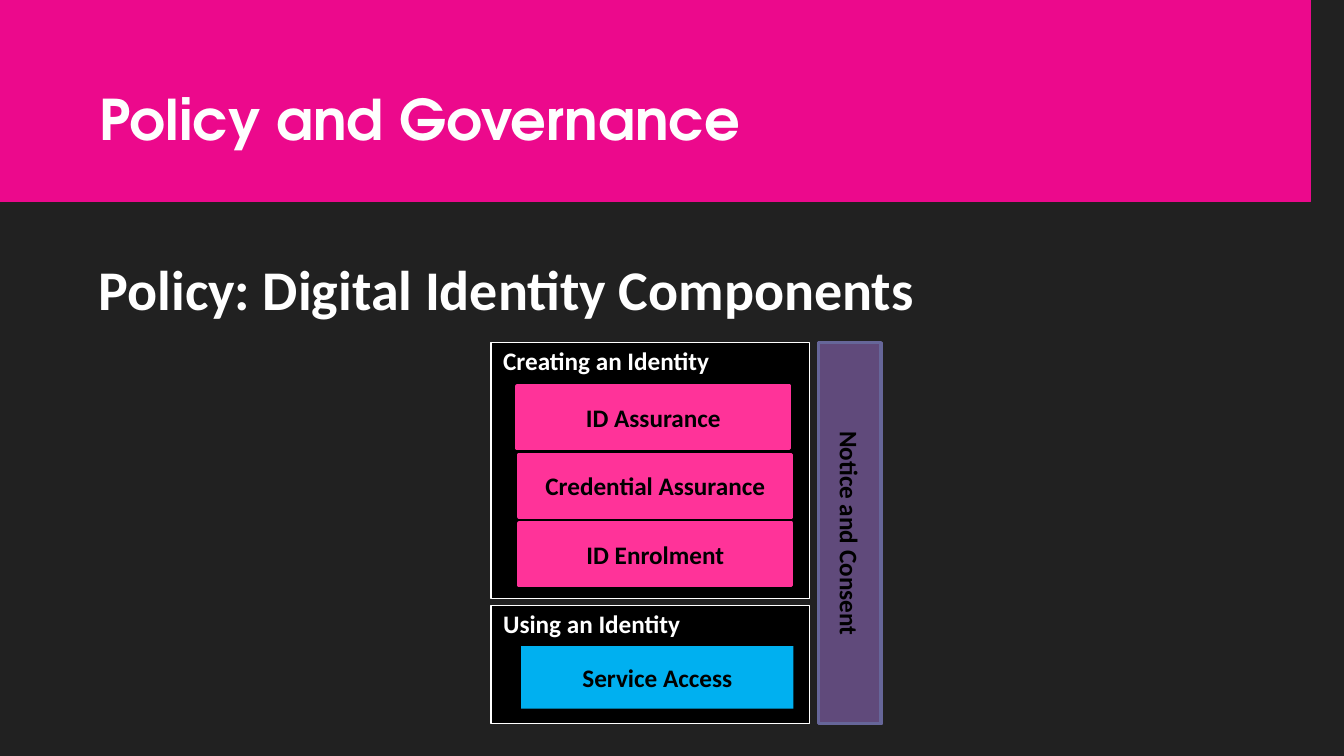
"""Build the Policy and Governance slide with its digital identity components."""
from lxml import etree
from pptx import Presentation
from pptx.dml.color import RGBColor
from pptx.enum.shapes import MSO_SHAPE as SHAPE
from pptx.enum.text import MSO_ANCHOR as ANCHOR, PP_ALIGN as ALIGN
from pptx.oxml.ns import qn
from pptx.util import Inches, Pt

BACKGROUND = RGBColor(0x21, 0x21, 0x21)
BANNER = RGBColor(0xEC, 0x09, 0x8C)
TITLE = RGBColor(0xFE, 0xFE, 0xFE)
WHITE = RGBColor(0xFF, 0xFF, 0xFF)
BLACK = RGBColor(0, 0, 0)
PINK = RGBColor(0xFF, 0x33, 0x99)
BLUE = RGBColor(0x00, 0xB0, 0xF0)
PURPLE = RGBColor(0x60, 0x4A, 0x7B)
PURPLE_EDGE = RGBColor(0x66, 0x66, 0x99)


def add_heading(text, left, top, width, height, font, color):
    s = slide.shapes.add_textbox(Inches(left), Inches(top), Inches(width), Inches(height))
    tf = s.text_frame
    tf.word_wrap = True
    tf.vertical_anchor = ANCHOR.BOTTOM
    r = tf.paragraphs[0].add_run()
    r.text = text
    r.font.size, r.font.bold, r.font.name = Pt(40), True, font
    r.font.color.rgb = color
    effects = etree.Element(qn("a:effectLst"))
    shadow = etree.SubElement(effects, qn("a:outerShdw"), blurRad="38100", dist="38100", dir="2700000")
    black = etree.SubElement(shadow, qn("a:srgbClr"), val="000000")
    etree.SubElement(black, qn("a:alpha"), val="43000")
    r.font.fill._xPr.find(qn("a:solidFill")).addnext(effects)


def add_box(text, left, top, width, height, fill, line, line_width, is_group=False):
    s = slide.shapes.add_shape(SHAPE.RECTANGLE, Inches(left), Inches(top), Inches(width), Inches(height))
    s.shadow.inherit = False
    s.fill.solid()
    s.fill.fore_color.rgb = fill
    if line is None:
        s.line.fill.background()
    else:
        s.line.color.rgb = line
        s.line.width = Pt(line_width)
    tf = s.text_frame
    tf.word_wrap = True
    tf.margin_top = tf.margin_right = tf.margin_bottom = Inches(0.03)
    tf.margin_left = Inches(0.12 if is_group else 0.03)
    tf.vertical_anchor = ANCHOR.TOP if is_group else ANCHOR.MIDDLE
    p = tf.paragraphs[0]
    p.alignment = ALIGN.LEFT if is_group else ALIGN.CENTER
    r = p.add_run()
    r.text = text
    r.font.size, r.font.bold, r.font.name = Pt(18), True, "Calibri"
    r.font.color.rgb = WHITE if is_group else BLACK
    return s


prs = Presentation()
prs.slide_width, prs.slide_height = Inches(13.33), Inches(7.5)
slide = prs.slides.add_slide(prs.slide_layouts[6])
slide.background.fill.solid()
slide.background.fill.fore_color.rgb = BACKGROUND

outline = slide.shapes.build_freeform(13.33, 0, scale=Inches(1))
outline.add_line_segments([
    (0, 0), (0, 2.06), (2.18, 2.06), (2.6, 2.38), (2.62, 2.39),
    (2.67, 2.39), (2.7, 2.38), (3.11, 2.06), (13.33, 2.06),
], close=True)
banner = outline.convert_to_shape()
banner.shadow.inherit = False
banner.fill.solid()
banner.fill.fore_color.rgb = BANNER
banner.line.color.rgb = BANNER
banner.line.width = Pt(0.75)

add_heading("Policy and Governance", 0.89, 0.49, 11.56, 1.06, "TeX Gyre Adventor", TITLE)
add_heading("Policy: Digital Identity Components", 0.88, 2.68, 8.81, 0.56, "Calibri", WHITE)

for text, top, height in [("Using an Identity", 6.01, 1.17), ("Creating an Identity", 3.4, 2.54)]:
    add_box(text, 4.87, top, 3.16, height, BLACK, WHITE, 1, is_group=True)

for text, left, top, fill, line in [
    ("Credential Assurance", 5.15, 4.51, PINK, PINK),
    ("ID Enrolment", 5.15, 5.19, PINK, PINK),
    ("Service Access", 5.17, 6.41, BLUE, None),
    ("ID Assurance", 5.13, 3.83, PINK, PINK),
]:
    add_box(text, left, top, 2.7, 0.62, fill, line, 2.5)

consent = add_box("Notice and Consent", 6.54, 4.98, 3.78, 0.62, PURPLE, PURPLE_EDGE, 2.5)
consent.rotation = 90

prs.save("out.pptx")
